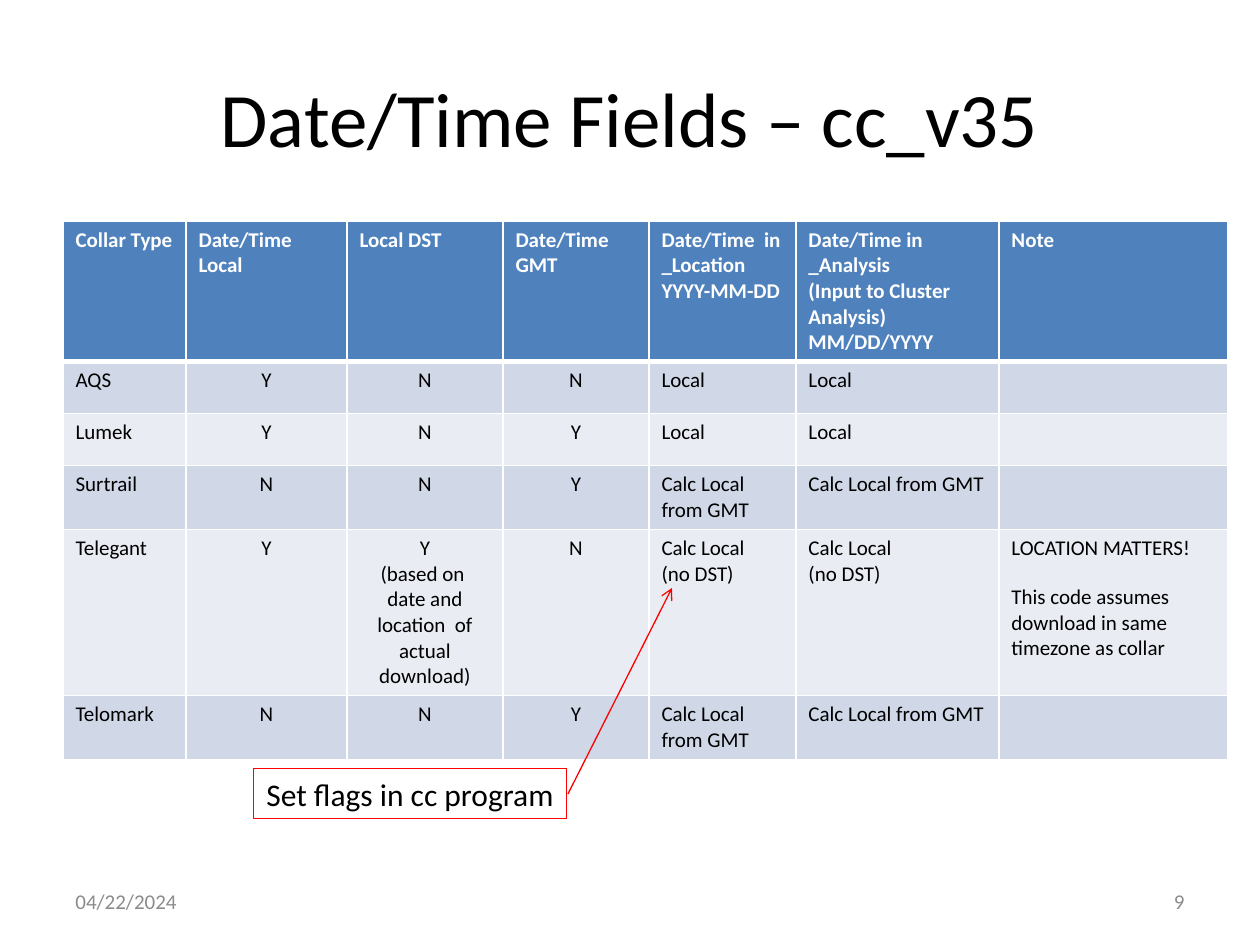
"""Build the Date/Time Fields slide with its collar table and flag callout."""
from dataclasses import dataclass

from lxml import etree
from pptx import Presentation
from pptx.dml.color import RGBColor
from pptx.enum.shapes import MSO_CONNECTOR
from pptx.enum.text import MSO_ANCHOR, MSO_AUTO_SIZE, PP_ALIGN
from pptx.oxml.ns import qn
from pptx.util import Pt

LEFT, CENTER, RIGHT = PP_ALIGN.LEFT, PP_ALIGN.CENTER, PP_ALIGN.RIGHT
MIDDLE, GROW = MSO_ANCHOR.MIDDLE, MSO_AUTO_SIZE.SHAPE_TO_FIT_TEXT
STRAIGHT = MSO_CONNECTOR.STRAIGHT
PX = 914400 // 126


@dataclass(frozen=True)
class Theme:
    font: str = "Calibri"
    ink: str = "000000"
    white: str = "FFFFFF"
    header: str = "4F81BD"
    bands: tuple = ("D0D8E7", "E9ECF3")
    accent: str = "FF0000"
    muted: str = "8B8B8B"
    title_size: int = 44
    callout_size: int = 18
    small_size: int = 12
    grid_width: float = 0.96
    header_rule: float = 3
    note_gap: float = 13.4


THEME = Theme()

TITLE = "Date/Time Fields – cc_v35"
HEADINGS = [
    "Collar Type", "Date/Time Local", "Local DST", "Date/Time GMT",
    "Date/Time  in _Location\nYYYY-MM-DD",
    "Date/Time in _Analysis\n(Input to Cluster Analysis)\nMM/DD/YYYY",
    "Note",
]
FROM_GMT = "Calc Local from GMT"
NO_DST = "Calc Local \n(no DST)"
COLLARS = [
    ["AQS", "Y", "N", "N", "Local", "Local", ""],
    ["Lumek", "Y", "N", "Y", "Local", "Local", ""],
    ["Surtrail", "N", "N", "Y", FROM_GMT, FROM_GMT, ""],
    ["Telegant", "Y", "Y\n(based on  date and location  of actual download)", "N",
     NO_DST, NO_DST,
     "LOCATION MATTERS!\nThis code assumes download in same timezone as collar"],
    ["Telomark", "N", "N", "Y", FROM_GMT, FROM_GMT, ""],
]
FLAG_COLUMNS = (1, 2, 3)
NOTE_COLUMN = len(HEADINGS) - 1
COLUMN_WIDTHS = [123, 161, 156, 146, 147, 203, 229]
ROW_HEIGHTS = [118, 52, 52, 54, 139, 54]
TITLE_BOX = (63, 38, 1134, 157)
TABLE_ORIGIN = (63, 221)
CALLOUT = ("Set flags in cc program", (254, 769, 313, 50))
ARROW = (568, 794, 672, 588)
FOOTERS = [
    ("04/22/2024", (63, 876, 294, 50), LEFT),
    ("9", (903, 876, 294, 50), RIGHT),
]


def emu(lengths):
    return [length * PX for length in lengths]


def rgb(color):
    return RGBColor.from_string(color)


def format_text(frame, size, color, align=LEFT, bold=False):
    for paragraph in frame.paragraphs:
        paragraph.alignment = align
        for run in paragraph.runs:
            run.font.name = THEME.font
            run.font.size = Pt(size)
            run.font.bold = bold
            run.font.color.rgb = rgb(color)


def set_borders(cell, bottom):
    properties = cell._tc.get_or_add_tcPr()
    widths = dict.fromkeys(("a:lnL", "a:lnR", "a:lnT"), THEME.grid_width)
    for tag, width in {**widths, "a:lnB": bottom}.items():
        border = etree.SubElement(properties, qn(tag), w=str(int(Pt(width))))
        fill = etree.SubElement(border, qn("a:solidFill"))
        etree.SubElement(fill, qn("a:srgbClr"), val=THEME.white)


def add_collar_table(slide):
    rows = [HEADINGS] + COLLARS
    size = (sum(COLUMN_WIDTHS), sum(ROW_HEIGHTS))
    table = slide.shapes.add_table(
        len(rows), len(HEADINGS), *emu(TABLE_ORIGIN + size)).table
    for column, width in zip(table.columns, emu(COLUMN_WIDTHS)):
        column.width = width
    for row, height in zip(table.rows, emu(ROW_HEIGHTS)):
        row.height = height
    for r, values in enumerate(rows):
        heading = r == 0
        above_rule = THEME.header_rule if heading else THEME.grid_width
        fill = THEME.header if heading else THEME.bands[(r - 1) % 2]
        color = THEME.white if heading else THEME.ink
        for c, value in enumerate(values):
            cell = table.cell(r, c)
            cell.text_frame.text = value
            align = CENTER if c in FLAG_COLUMNS and not heading else LEFT
            format_text(cell.text_frame, THEME.small_size, color, align, heading)
            if c == NOTE_COLUMN:
                for paragraph in cell.text_frame.paragraphs[1:]:
                    paragraph.space_before = Pt(THEME.note_gap)
            if not value:
                cell.text_frame.paragraphs[0].font.size = Pt(THEME.small_size)
            set_borders(cell, above_rule)
            cell.fill.solid()
            cell.fill.fore_color.rgb = rgb(fill)


def add_label(slide, text, box, size, color, align=LEFT):
    label = slide.shapes.add_textbox(*emu(box))
    label.text_frame.word_wrap = True
    label.text_frame.text = text
    format_text(label.text_frame, size, color, align)
    return label


def add_callout(slide):
    callout = add_label(slide, *CALLOUT, THEME.callout_size, THEME.ink)
    callout.text_frame.word_wrap = False
    callout.text_frame.auto_size = GROW
    callout.line.color.rgb = rgb(THEME.accent)
    callout.line.width = Pt(0)
    arrow = slide.shapes.add_connector(STRAIGHT, *emu(ARROW))
    arrow.line.color.rgb = rgb(THEME.accent)
    arrow.line.width = Pt(0.75)
    etree.SubElement(arrow.line._get_or_add_ln(), qn("a:tailEnd"), type="arrow")
    etree.SubElement(arrow._element.spPr, qn("a:effectLst"))


def build():
    deck = Presentation()
    deck.slide_width, deck.slide_height = emu((1260, 945))
    slide = deck.slides.add_slide(deck.slide_layouts[5])
    title = slide.shapes.title
    title.left, title.top, title.width, title.height = emu(TITLE_BOX)
    title.text_frame.text = TITLE
    title.text_frame.vertical_anchor = MIDDLE
    format_text(title.text_frame, THEME.title_size, THEME.ink, CENTER)
    add_collar_table(slide)
    for text, box, align in FOOTERS:
        footer = add_label(slide, text, box, THEME.small_size, THEME.muted, align)
        footer.text_frame.vertical_anchor = MIDDLE
    add_callout(slide)
    deck.save("out.pptx")


build()
